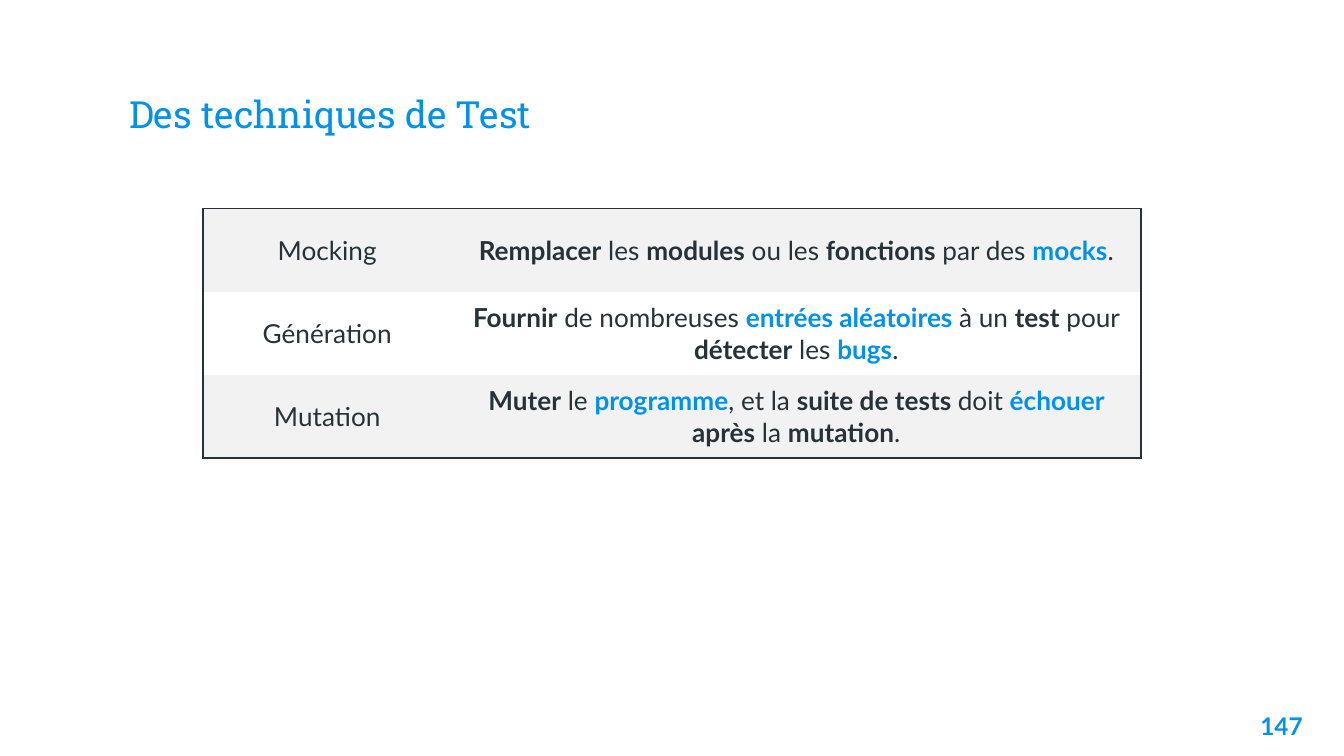
from dataclasses import dataclass

from lxml import etree
from pptx import Presentation
from pptx import util as u
from pptx.dml.color import RGBColor
from pptx.enum import text
from pptx.oxml import ns


@dataclass(frozen=True)
class Theme:
    accent: str = "0091EA"
    ink: str = "263238"
    band: str = "F2F2F2"
    white: str = "FFFFFF"
    title_font: str = "Roboto Slab"
    body_font: str = "Lato"
    title_size: int = 20
    table_size: int = 14
    number_size: int = 13


theme = Theme()
PLAIN, BOLD, ACCENT = "plain", "bold", "accent"


def format_run(run, font, size, color, bold=False):
    run.font.name = font
    run.font.size = u.Pt(size)
    run.font.bold = bold
    run.font.color.rgb = RGBColor.from_string(color)


def add_border(cell, side, visible):
    """Draw one cell edge (L, R, T or B), or switch it off."""
    line = etree.SubElement(cell._tc.get_or_add_tcPr(), ns.qn(f"a:ln{side}"), w=str(u.Pt(1)))
    if visible:
        fill = etree.SubElement(line, ns.qn("a:solidFill"))
        etree.SubElement(fill, ns.qn("a:srgbClr"), val=theme.ink)
    else:
        etree.SubElement(line, ns.qn("a:noFill"))


presentation = Presentation()
presentation.slide_width = u.Inches(10)
presentation.slide_height = u.Inches(10 * 9 / 16)
slide = presentation.slides.add_slide(presentation.slide_layouts[5])

# Title
title = slide.shapes.title
title.left, title.top = u.Inches(0.86), u.Inches(0.34)
title.width, title.height = u.Inches(8.28), u.Inches(0.77)
title.text_frame.text = "Des techniques de Test"
title.text_frame.vertical_anchor = text.MSO_ANCHOR.BOTTOM
title.text_frame.paragraphs[0].alignment = text.PP_ALIGN.LEFT
format_run(title.text_frame.paragraphs[0].runs[0], theme.title_font, theme.title_size, theme.accent)

# Page number
number = slide.shapes.add_textbox(u.Inches(9.19), u.Inches(5.19), u.Inches(0.6), u.Inches(0.43))
number.text_frame.text = "147"
number.text_frame.word_wrap = True
number.text_frame.paragraphs[0].alignment = text.PP_ALIGN.RIGHT
format_run(number.text_frame.paragraphs[0].runs[0], theme.body_font, theme.number_size,
           theme.accent, bold=True)

for frame in (title.text_frame, number.text_frame):
    frame.margin_left = frame.margin_right = u.Inches(0.1)
    frame.margin_top = frame.margin_bottom = u.Inches(0.1)

# Table of techniques: each cell is a list of (words, style)
techniques = [
    ([("Mocking", PLAIN)],
     [("Remplacer", BOLD), (" les ", PLAIN), ("modules", BOLD), (" ou les ", PLAIN),
      ("fonctions", BOLD), (" par des ", PLAIN), ("mocks", ACCENT), (".", PLAIN)]),
    ([("Génération", PLAIN)],
     [("Fournir", BOLD), (" de nombreuses ", PLAIN), ("entrées aléatoires ", ACCENT),
      ("à un ", PLAIN), ("test", BOLD), (" pour ", PLAIN), ("détecter", BOLD),
      (" les ", PLAIN), ("bugs", ACCENT), (".", PLAIN)]),
    ([("Mutation", PLAIN)],
     [("Muter", BOLD), (" le ", PLAIN), ("programme", ACCENT), (", et la ", PLAIN),
      ("suite de tests ", BOLD), ("doit ", PLAIN), ("échouer ", ACCENT), ("après", BOLD),
      (" la ", PLAIN), ("mutation", BOLD), (".", PLAIN)]),
]
column_widths = (1.85, 5.13)
last_row, last_column = len(techniques) - 1, len(column_widths) - 1

table = slide.shapes.add_table(len(techniques), len(column_widths), u.Inches(1.51), u.Inches(1.55),
                               u.Inches(sum(column_widths)), u.Inches(1.86)).table
table.first_row = table.horz_banding = False
for column, width in zip(table.columns, column_widths):
    column.width = u.Inches(width)

for row_index, row in enumerate(techniques):
    for column_index, words in enumerate(row):
        cell = table.cell(row_index, column_index)
        cell.vertical_anchor = text.MSO_ANCHOR.MIDDLE
        cell.margin_left = cell.margin_right = u.Inches(0.1)
        cell.margin_top = cell.margin_bottom = u.Inches(0.07)

        outer_edges = {"L": column_index == 0, "R": column_index == last_column,
                       "T": row_index == 0, "B": row_index == last_row}
        for side, visible in outer_edges.items():
            add_border(cell, side, visible)
        cell.fill.solid()
        cell.fill.fore_color.rgb = RGBColor.from_string(theme.white if row_index % 2 else theme.band)

        paragraph = cell.text_frame.paragraphs[0]
        paragraph.alignment = text.PP_ALIGN.CENTER
        for content, style in words:
            run = paragraph.add_run()
            run.text = content
            format_run(run, theme.body_font, theme.table_size,
                       theme.accent if style == ACCENT else theme.ink, bold=style != PLAIN)

presentation.save("out.pptx")
